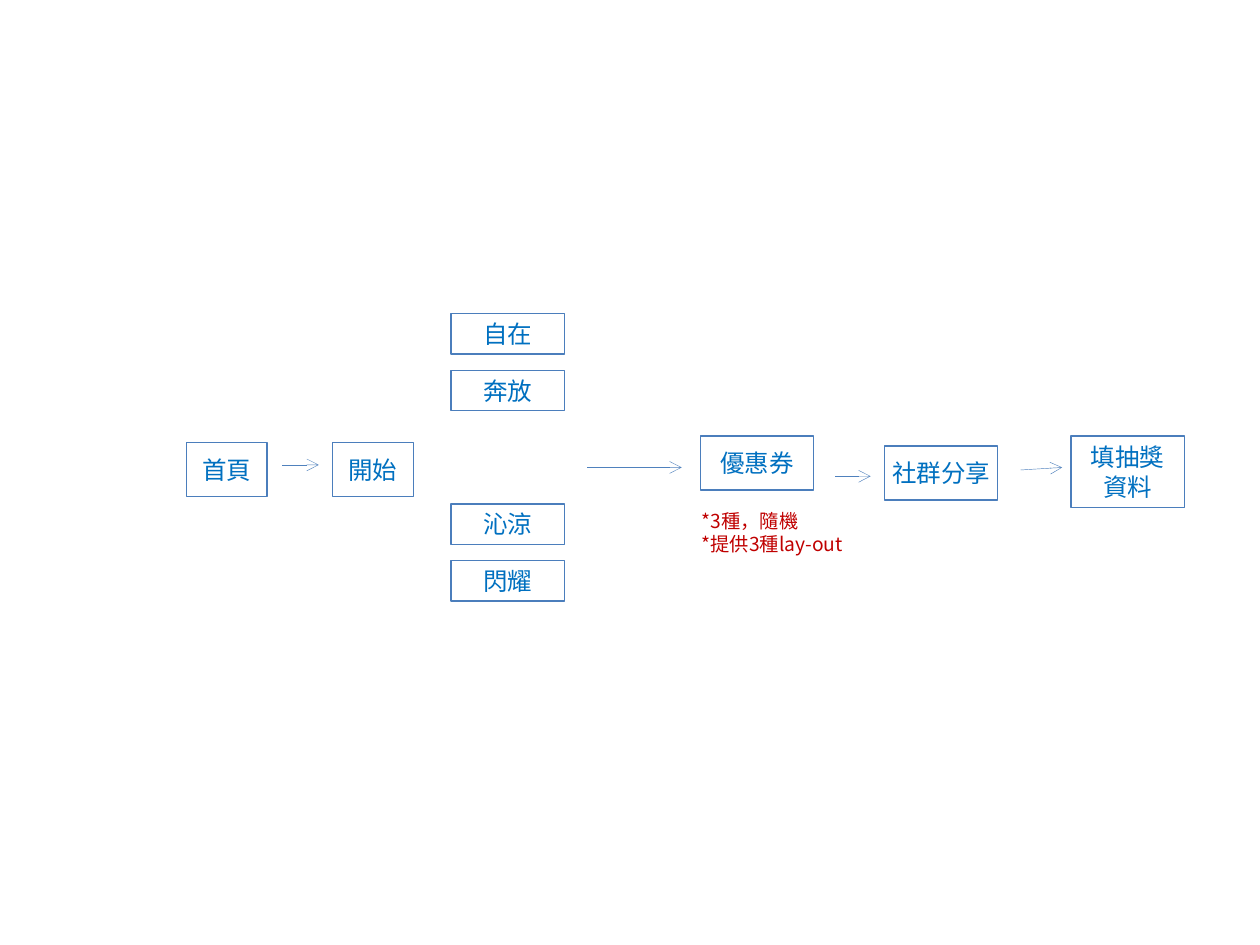
"""Builds a one-slide flow chart of a coupon campaign."""
import dataclasses

import lxml.etree
import pptx
import pptx.dml.color
import pptx.enum.shapes
import pptx.enum.text
import pptx.oxml.ns
import pptx.util

Inches = pptx.util.Inches
RGB = pptx.dml.color.RGBColor.from_string
qn = pptx.oxml.ns.qn


@dataclasses.dataclass(frozen=True)
class Theme:
    font: str = "Noto Sans CJK SC"
    step_text: str = "0070C0"
    note_text: str = "C00000"
    outline: str = "4B7EBC"
    arrow: str = "4F81BD"
    step_size: float = 14
    note_size: float = 11
    outline_width: float = 0.75
    arrow_width: float = 0.25


class FlowPage:
    def __init__(self, page, theme):
        self.page = page
        self.theme = theme

    def fill_text(self, frame, lines, size, color, align):
        frame.vertical_anchor = pptx.enum.text.MSO_ANCHOR.MIDDLE
        for index, line in enumerate(lines):
            paragraph = frame.add_paragraph() if index else frame.paragraphs[0]
            paragraph.text = line
            paragraph.alignment = align
            font = paragraph.font
            font.name = self.theme.font
            font.size = pptx.util.Pt(size)
            font.color.rgb = RGB(color)
            defaults = paragraph._p.pPr.find(qn("a:defRPr"))
            lxml.etree.SubElement(defaults, qn("a:ea"), typeface=self.theme.font)

    def step(self, label, left, top, width, height, wrap=False):
        box = self.page.shapes.add_shape(
            pptx.enum.shapes.MSO_SHAPE.RECTANGLE,
            Inches(left), Inches(top), Inches(width), Inches(height))
        box.shadow.inherit = False
        box.fill.background()
        box.line.color.rgb = RGB(self.theme.outline)
        box.line.width = pptx.util.Pt(self.theme.outline_width)
        box.text_frame.word_wrap = wrap
        self.fill_text(box.text_frame, [label], self.theme.step_size,
                       self.theme.step_text, pptx.enum.text.PP_ALIGN.CENTER)

    def arrow(self, start_x, start_y, end_x, end_y):
        line = self.page.shapes.add_connector(
            pptx.enum.shapes.MSO_CONNECTOR.STRAIGHT,
            Inches(start_x), Inches(start_y), Inches(end_x), Inches(end_y))
        line.line.color.rgb = RGB(self.theme.arrow)
        line.line.width = pptx.util.Pt(self.theme.arrow_width)
        properties = line._element.spPr
        lxml.etree.SubElement(properties.find(qn("a:ln")), qn("a:tailEnd"), type="arrow")
        lxml.etree.SubElement(properties, qn("a:effectLst"))

    def note(self, lines, left, top, width, height):
        box = self.page.shapes.add_textbox(
            Inches(left), Inches(top), Inches(width), Inches(height))
        box.text_frame.word_wrap = True
        self.fill_text(box.text_frame, lines, self.theme.note_size,
                       self.theme.note_text, pptx.enum.text.PP_ALIGN.LEFT)


def main():
    deck = pptx.Presentation()
    deck.slide_width, deck.slide_height = Inches(10), Inches(7.5)
    flow = FlowPage(deck.slides.add_slide(deck.slide_layouts[6]), Theme())

    for label, left in (("首頁", 1.48), ("開始", 2.64)):
        flow.step(label, left, 3.51, 0.64, 0.43)
    for pair, top in ((("自在", "奔放"), 2.49), (("沁涼", "閃耀"), 4.0)):
        for row, label in enumerate(pair):
            flow.step(label, 3.58, top + row * 0.45, 0.9, 0.32)
    flow.step("優惠券", 5.56, 3.46, 0.9, 0.43)
    flow.step("社群分享", 7.02, 3.54, 0.9, 0.43)
    flow.step("填抽獎資料", 8.5, 3.46, 0.9, 0.57, wrap=True)

    for ends in ((2.24, 3.69, 2.53, 3.69), (4.66, 3.71, 5.41, 3.71),
                 (6.63, 3.78, 6.91, 3.78), (8.1, 3.73, 8.43, 3.71)):
        flow.arrow(*ends)
    flow.note(("*3種，隨機", "*提供3種lay-out"), 5.47, 3.99, 1.97, 0.47)

    deck.save("out.pptx")


if __name__ == "__main__":
    main()
